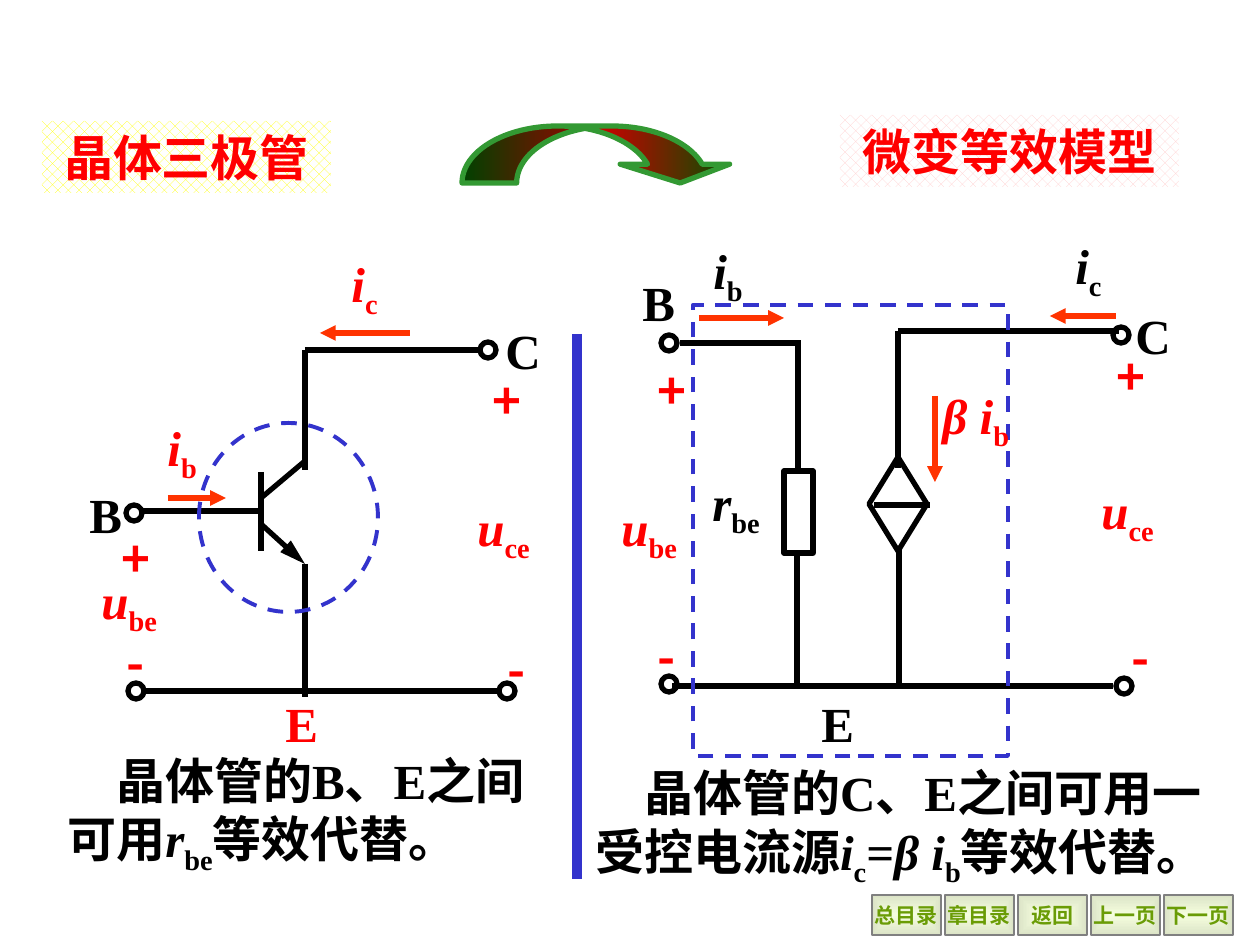
import copy
from lxml import etree
from pptx import Presentation, util as u
from pptx.dml.color import RGBColor
from pptx.enum import dml, shapes, text
from pptx.oxml.ns import qn

PX = 914400 / 126
BLACK, RED, ORANGE, BLUE = "000000", "FF0000", "FF3300", "3333CC"
SERIF, CJK = "Times New Roman", "Noto Sans CJK SC"
MIDDLE, TOP = text.MSO_ANCHOR.MIDDLE, text.MSO_ANCHOR.TOP
hex_colour = RGBColor.from_string

deck = Presentation()
deck.slide_width, deck.slide_height = u.Inches(10), u.Inches(7.5)
slide = deck.slides.add_slide(deck.slide_layouts[6])


def outline(kind, box, colour, width, dash=None):
    part = slide.shapes.add_shape(kind, *[round(v * PX) for v in box])
    part.shadow.inherit = False
    part.fill.background()
    if colour:
        part.line.color.rgb = hex_colour(colour)
        part.line.width = u.Pt(width)
        part.line.dash_style = dash
    else:
        part.line.fill.background()
    return part


def write(part, runs, colour, size=28, font=SERIF, anchor=MIDDLE, centred=False, indent=0):
    frame = part.text_frame
    frame.word_wrap = True
    frame.vertical_anchor = anchor
    frame.auto_size = text.MSO_AUTO_SIZE.SHAPE_TO_FIT_TEXT
    paragraph = frame.paragraphs[0]
    paragraph.alignment = text.PP_ALIGN.CENTER if centred else text.PP_ALIGN.LEFT
    properties = paragraph._p.get_or_add_pPr()
    properties.set("indent", str(u.Pt(indent)))
    before = etree.SubElement(properties, qn("a:spcBef"))
    etree.SubElement(before, qn("a:spcPct")).set("val", "50000")
    for words, style in runs:
        run = paragraph.add_run()
        run.text = words
        run.font.size = u.Pt(size)
        run.font.bold = True
        run.font.italic = style == "italic"
        run.font.name = font
        run.font.color.rgb = hex_colour(colour)
        letters = run._r.get_or_add_rPr()
        etree.SubElement(letters, qn("a:ea")).set("typeface", CJK)
        if style == "sub":
            letters.set("baseline", "-25000")


for column, caption in enumerate(["总目录", "章目录", "返回", "上一页", "下一页"]):
    button = outline(shapes.MSO_SHAPE.ACTION_BUTTON_CUSTOM,
                     (872 + 73 * column, 895, 69, 40), "808080", 0.75)
    button.fill.gradient()
    for stop, colour in zip(button.fill.gradient_stops, ["F5FEDE", "DCE4C7"]):
        stop.color.rgb = hex_colour(colour)
    linear = button._element.spPr.find(".//" + qn("a:lin"))
    centre = etree.Element(qn("a:path"), path="rect")
    etree.SubElement(centre, qn("a:fillToRect"), l="50000", t="50000", r="50000", b="50000")
    linear.getparent().replace(linear, centre)
    write(button, [(caption, "")], "6A9C06", size=12, centred=True)
    button.text_frame.word_wrap = False
    button.text_frame.auto_size = text.MSO_AUTO_SIZE.NONE

turn = outline(shapes.MSO_SHAPE.CURVED_DOWN_ARROW, (462, 126, 273, 57), "339933", 3)
for index, ratio in enumerate([0.96, 1.92, 0.33]):
    turn.adjustments[index] = ratio
turn.fill.gradient()
turn.fill.gradient_angle = 0
stop_list = turn._element.spPr.find(".//" + qn("a:gsLst"))
stop_list.append(copy.deepcopy(stop_list[0]))
for stop, colour, position in zip(turn.fill.gradient_stops,
                                  ["005200", "CC0000", "005200"], [0, 0.5, 1]):
    stop.color.rgb = hex_colour(colour)
    stop.position = position

for title, box, hatch in [("晶体三极管", (42, 121, 289, 72), "FFFF00"),
                          ("微变等效模型", (840, 115, 339, 72), "FFCCCC")]:
    heading = outline(shapes.MSO_SHAPE.RECTANGLE, box, None, 0)
    heading.fill.patterned()
    heading.fill.pattern = dml.MSO_PATTERN.from_xml("pct40")
    heading.fill.fore_color.rgb = hex_colour(hatch)
    heading.fill.back_color.rgb = hex_colour("FFFFFF")
    write(heading, [(title, "")], RED, anchor=TOP, centred=True)

transistor_wires = [
    (140, 511, 263, 511), (261, 472, 261, 551), (261, 498, 305, 461),
    (305, 350, 305, 470), (305, 564, 305, 697), (141, 691, 499, 691),
    (305, 350, 480, 350),
]
model_wires = [
    (672, 686, 1113, 686), (680, 343, 798, 343), (798, 471, 798, 340),
    (797, 683, 797, 552), (898, 468, 898, 331), (874, 505, 930, 505),
    (898, 331, 1119, 331), (899, 685, 899, 546),
]
current_arrows = [
    (168, 498, 226, 498), (410, 333, 320, 333), (1116, 316, 1050, 316),
    (699, 318, 784, 318), (935, 396, 935, 482),
]
lines = [(wire, BLACK, 3, None) for wire in transistor_wires + model_wires]
lines += [(arrow, ORANGE, 3, "med") for arrow in current_arrows]
lines += [((261, 524, 305, 564), BLACK, 3, "lg"), ((577, 334, 577, 879), BLUE, 6, None)]
for ends, colour, width, head in lines:
    wire = slide.shapes.add_connector(shapes.MSO_CONNECTOR.STRAIGHT,
                                      *[round(v * PX) for v in ends])
    wire.line.color.rgb = hex_colour(colour)
    wire.line.width = u.Pt(width)
    if head:
        etree.SubElement(wire.line._get_or_add_ln(), qn("a:tailEnd"),
                         type="triangle", w="med", len=head)
    etree.SubElement(wire._element.spPr, qn("a:effectLst"))

for left, top in [(126, 505), (128, 683), (499, 683), (480, 342),
                  (661, 676), (661, 335), (1113, 327), (1116, 678)]:
    outline(shapes.MSO_SHAPE.OVAL, (left, top, 16, 16), BLACK, 3)
outline(shapes.MSO_SHAPE.RECTANGLE, (784, 471, 29, 82), BLACK, 3)
outline(shapes.MSO_SHAPE.DIAMOND, (869, 457, 58, 94), BLACK, 3)
outline(shapes.MSO_SHAPE.OVAL, (199, 423, 179, 189), BLUE, 2.25, dml.MSO_LINE.DASH)
outline(shapes.MSO_SHAPE.RECTANGLE, (693, 305, 315, 451), BLUE, 2.25, dml.MSO_LINE.DASH)

quantities = [
    ("i", "b", 155, 415, 168, RED), ("i", "c", 339, 251, 170, RED),
    ("i", "c", 1063, 233, 126, BLACK), ("i", "b", 701, 238, 63, BLACK),
    ("β i", "b", 930, 383, 174, RED), ("r", "be", 700, 470, 100, BLACK),
    ("u", "be", 89, 568, 100, RED), ("u", "ce", 465, 495, 123, RED),
    ("u", "be", 609, 495, 100, RED), ("u", "ce", 1089, 478, 123, RED),
]
terminals = [("B", 77, 478, BLACK), ("C", 493, 314, BLACK), ("E", 273, 687, RED),
             ("B", 630, 266, BLACK), ("E", 809, 687, BLACK), ("C", 1123, 299, BLACK)]
polarities = [("+", 94, 522), ("-", 94, 626), ("+", 465, 364), ("-", 475, 633),
              ("+", 630, 354), ("-", 625, 620), ("+", 1089, 340), ("-", 1099, 621)]
notes = [
    ((55, 748, 486, 130),
     [("晶体管的B、E之间可用", ""), ("r", "italic"), ("be", "sub"), ("等效代替。", "")]),
    ((583, 760, 639, 131),
     [("晶体管的C、E之间可用一受控电流源", ""), ("i", "italic"), ("c", "sub"), ("=", ""),
      ("β i", "italic"), ("b", "sub"), ("等效代替。", "")]),
]
labels = [((left, top, width, 72), [(symbol, "italic"), (index, "sub")], colour, {})
          for symbol, index, left, top, width, colour in quantities]
labels += [((left, top, 73, 72), [(name, "")], colour, {"anchor": TOP})
           for name, left, top, colour in terminals]
labels += [((left, top, 84, 72), [(sign, "")], RED, {"font": CJK, "centred": True})
           for sign, left, top in polarities]
labels += [(box, runs, BLACK, {"indent": 28}) for box, runs in notes]
for box, runs, colour, options in labels:
    label = slide.shapes.add_textbox(*[round(v * PX) for v in box])
    write(label, runs, colour, **options)

deck.save("out.pptx")
